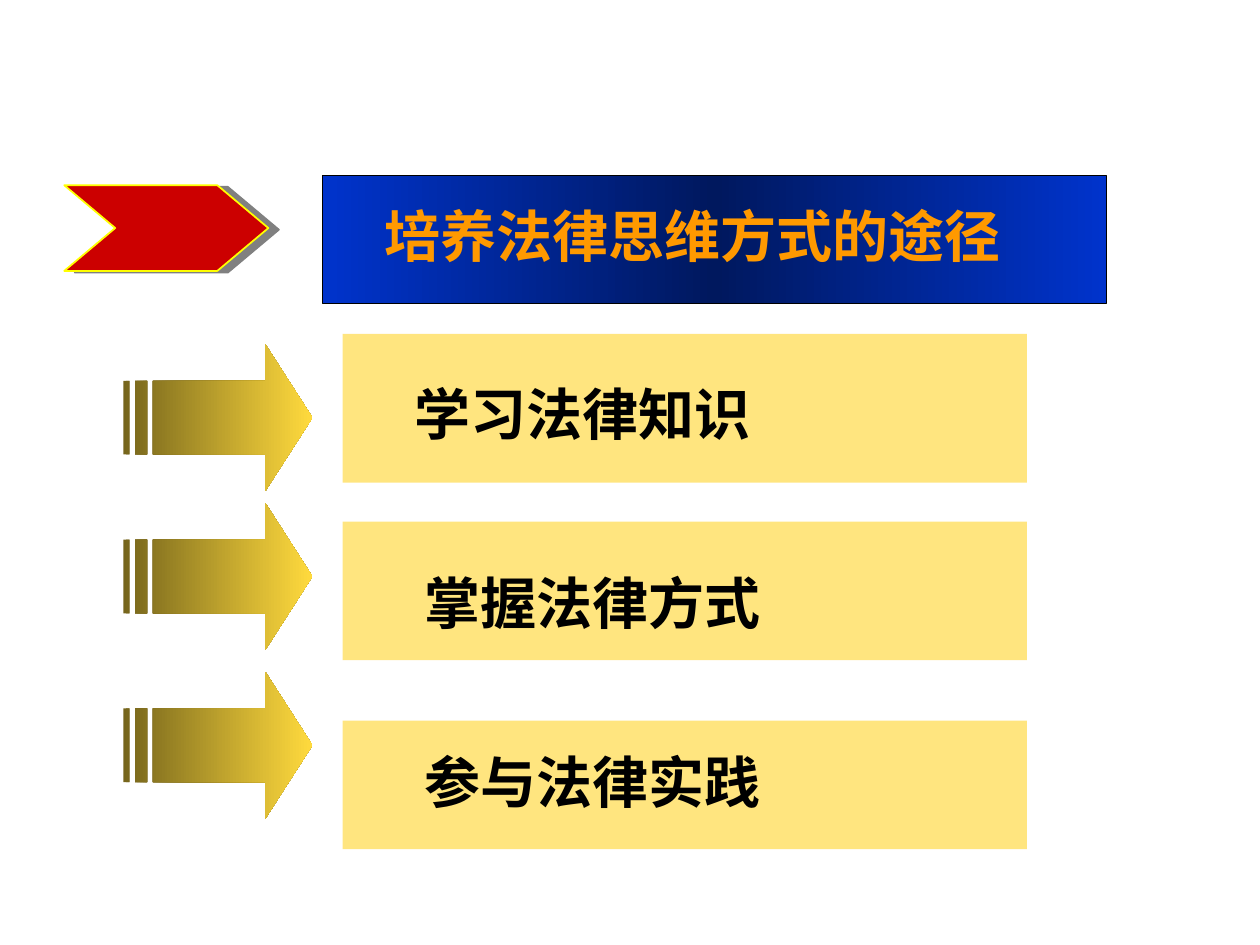
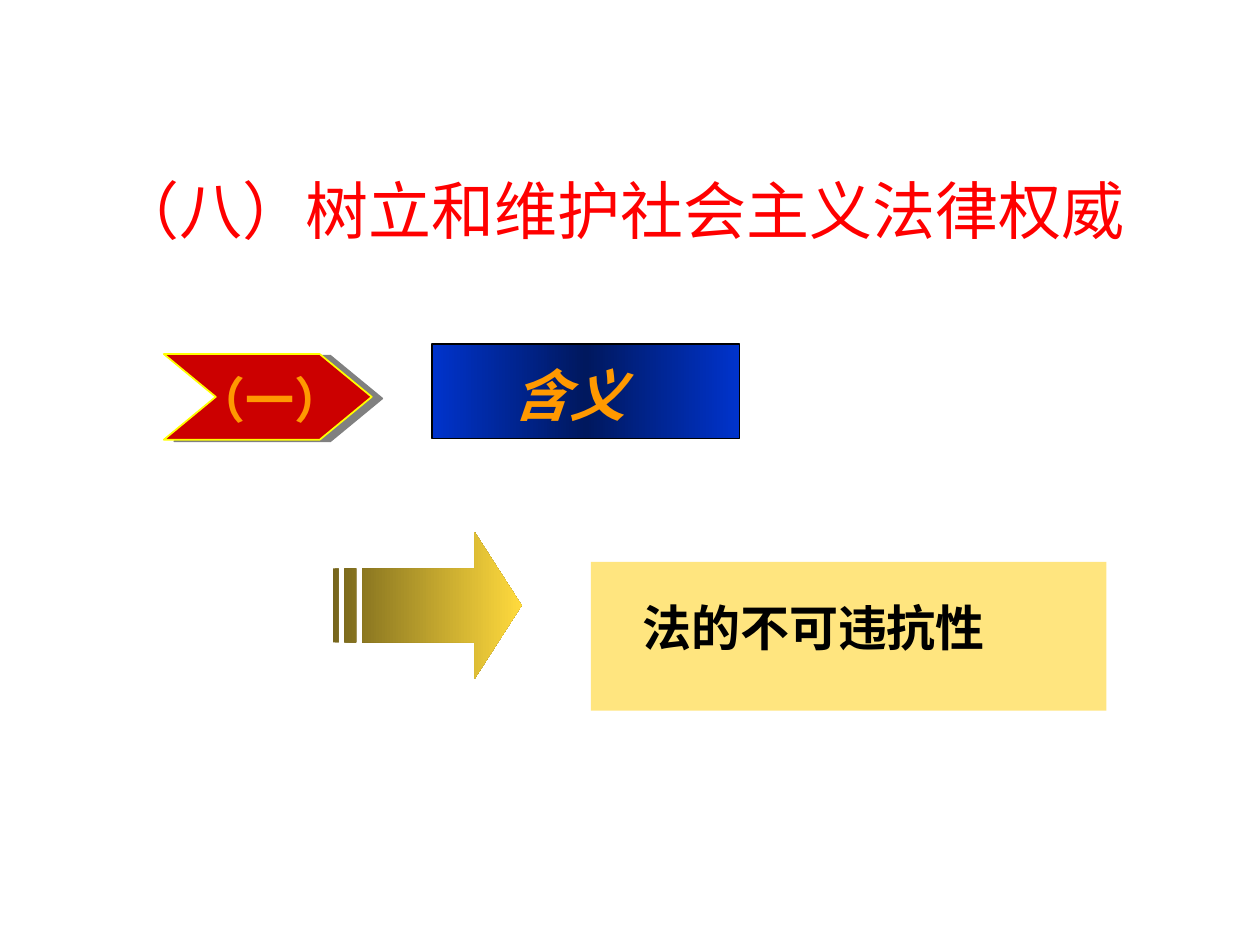
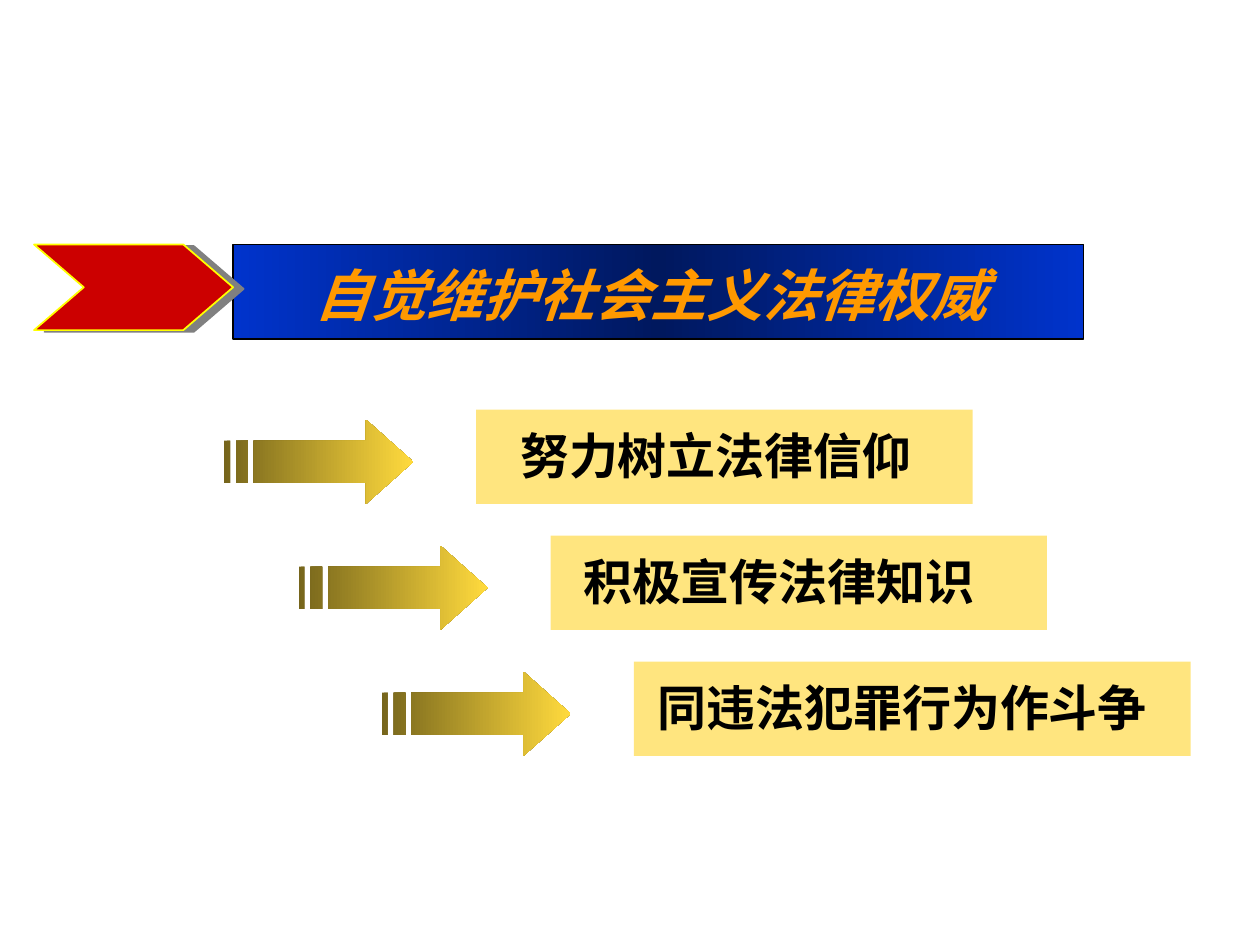
from lxml import etree
from pptx import Presentation
from pptx.dml.color import RGBColor
from pptx.enum import lang, shapes, text
from pptx.oxml.ns import qn
from pptx.util import Inches, Pt

# Shared colours, fonts and sizes
BLUE = RGBColor(0x00, 0x33, 0xCC)
NAVY = RGBColor(0x00, 0x18, 0x5E)
ORANGE = RGBColor(0xFF, 0x99, 0x00)
BLACK = RGBColor(0x00, 0x00, 0x00)
RED = RGBColor(0xFF, 0x00, 0x00)
CRIMSON = RGBColor(0xCC, 0x00, 0x00)
YELLOW = RGBColor(0xFF, 0xFF, 0x00)
GRAY = RGBColor(0x80, 0x80, 0x80)
AMBER = RGBColor(0xFF, 0xCC, 0x00)
BRONZE = RGBColor(0x76, 0x65, 0x1C)
GOLD = RGBColor(0xFF, 0xDA, 0x3D)

SERIF = "Times New Roman"
SANS = "Noto Sans CJK SC"
ARROW_W = 1.5
RIBBON_H = 0.68
TITLE_ONLY, BLANK = 5, 6


def fill_gradient(sp, colors):
    """Fill from left to right with evenly spaced colours."""
    sp.fill.gradient()
    sp.fill.gradient_angle = 0
    stops = sp._element.spPr.find(qn("a:gradFill")).find(qn("a:gsLst"))
    for stop in list(stops):
        stops.remove(stop)
    for i, color in enumerate(colors):
        pos = 100000 * i // (len(colors) - 1)
        stop = etree.SubElement(stops, qn("a:gs"), pos=str(pos))
        etree.SubElement(stop, qn("a:srgbClr"), val=str(color))


def add_preset(slide, kind, x, y, w, h):
    sp = slide.shapes.add_shape(kind, Inches(x), Inches(y), Inches(w), Inches(h))
    sp.shadow.inherit = False
    return sp


def style_text(p, size, color, font=SERIF, bold=True, italic=False):
    f = p.font
    f.name, f.size, f.bold, f.italic = font, Pt(size), bold, italic
    f.color.rgb = color
    f.language_id = lang.MSO_LANGUAGE_ID.SIMPLIFIED_CHINESE


def add_label(slide, words, x, y, w, size, color=BLACK, font=SERIF, italic=False):
    h = 0.64 if size == 32 else 0.57
    tf = slide.shapes.add_textbox(Inches(x), Inches(y), Inches(w), Inches(h)).text_frame
    tf.word_wrap = True
    tf.auto_size = text.MSO_AUTO_SIZE.SHAPE_TO_FIT_TEXT
    p = tf.paragraphs[0]
    p.text = words
    style_text(p, size, color, font, italic=italic)


def add_banner(slide, x, y, w, h):
    """Blue heading band."""
    sp = add_preset(slide, shapes.MSO_SHAPE.RECTANGLE, x, y, w, h)
    fill_gradient(sp, [BLUE, NAVY, BLUE])
    sp.line.color.rgb = BLACK
    sp.line.width = Pt(0.75)


def add_card(slide, x, y, w, h):
    """Half-transparent amber panel behind a list item."""
    sp = add_preset(slide, shapes.MSO_SHAPE.RECTANGLE, x, y, w, h)
    sp.fill.solid()
    sp.fill.fore_color.rgb = AMBER
    clr = sp._element.spPr.find(qn("a:solidFill")).find(qn("a:srgbClr"))
    etree.SubElement(clr, qn("a:alpha"), val="50000")
    sp.line.fill.background()


def add_ribbon(slide, x, y, w):
    """Red notched marker whose point takes a quarter of its width."""
    sp = add_preset(slide, shapes.MSO_SHAPE.CHEVRON, x, y, w, RIBBON_H)
    sp.adjustments[0] = 0.25 * w / RIBBON_H
    sp.fill.solid()
    sp.fill.fore_color.rgb = CRIMSON
    sp.line.color.rgb = YELLOW
    sp.line.width = Pt(1)
    effects = sp._element.spPr.find(qn("a:effectLst"))
    shadow = etree.SubElement(effects, qn("a:outerShdw"), blurRad="0",
                              dist=str(Pt(6.1)), dir=str(9 * 60000),
                              algn="ctr", rotWithShape="0")
    etree.SubElement(shadow, qn("a:srgbClr"), val=str(GRAY))


def add_striped_arrow(slide, x, y, h):
    """Gold arrow with two stripes behind its tail."""
    def at(fx, fy):
        return Inches(x + fx * ARROW_W), Inches(y + fy * h)

    def bar(left, right):
        return [at(left, 0.25), at(left, 0.75), at(right, 0.75), at(right, 0.25)]

    tail, neck = 5 / 32, 0.75
    head = [at(neck, 0), at(neck, 0.25), at(tail, 0.25), at(tail, 0.75),
            at(neck, 0.75), at(neck, 1), at(1, 0.5)]
    builder = slide.shapes.build_freeform(*head[0])
    builder.add_line_segments(head[1:])
    for stripe in (bar(1 / 16, 1 / 8), bar(0, 1 / 32)):
        builder.move_to(*stripe[0])
        builder.add_line_segments(stripe[1:])
    sp = builder.convert_to_shape()
    sp.shadow.inherit = False
    fill_gradient(sp, [BRONZE, GOLD])
    sp.line.fill.background()


def set_title(slide, words):
    title = slide.shapes.title
    title.left, title.top = Inches(0.67), Inches(1.23)
    title.width, title.height = Inches(8.51), Inches(0.87)
    tf = title.text_frame
    tf.vertical_anchor = text.MSO_ANCHOR.MIDDLE
    p = tf.paragraphs[0]
    p.text = words
    p.alignment = text.PP_ALIGN.CENTER
    style_text(p, 36, RED, "Arial", bold=False)


def build_ways(slide):
    add_banner(slide, 2.56, 1.39, 6.22, 1.02)
    add_label(slide, "培养法律思维方式的途径", 2.95, 1.55, 5.51, 32, ORANGE)
    add_ribbon(slide, 0.51, 1.47, 1.62)
    # words, card top, card height, label left, label top, arrow top
    ways = [("学习法律知识", 2.65, 1.18, 3.19, 2.96, 2.73),
            ("掌握法律方式", 4.14, 1.1, 3.27, 4.46, 3.99),
            ("参与法律实践", 5.72, 1.02, 3.27, 5.88, 5.33)]
    for words, card_y, card_h, label_x, label_y, arrow_y in ways:
        add_card(slide, 2.72, card_y, 5.43, card_h)
        add_label(slide, words, label_x, label_y, 5.35, 32, font=SANS)
        add_striped_arrow(slide, 0.98, arrow_y, 1.17)


def build_meaning(slide):
    set_title(slide, "（八）树立和维护社会主义法律权威")
    add_banner(slide, 3.43, 2.73, 2.44, 0.75)
    add_label(slide, "含义", 3.98, 2.81, 1.18, 32, ORANGE, italic=True)
    add_ribbon(slide, 1.3, 2.81, 1.65)
    add_label(slide, "（一）", 1.46, 2.88, 1.5, 28, ORANGE)
    add_card(slide, 4.69, 4.46, 4.09, 1.18)
    add_label(slide, "法的不可违抗性", 5, 4.69, 3.53, 28)
    add_striped_arrow(slide, 2.64, 4.22, 1.17)


def build_duties(slide):
    add_banner(slide, 1.85, 1.94, 6.75, 0.75)
    add_label(slide, "自觉维护社会主义法律权威", 2.4, 2.02, 5.67, 32, ORANGE, italic=True)
    add_ribbon(slide, 0.27, 1.94, 1.58)
    # words, card left, card width, label left, label width
    duties = [("努力树立法律信仰", 3.78, 3.94, 4.03, 3.53),
              ("积极宣传法律知识", 4.37, 3.94, 4.53, 3.53),
              ("同违法犯罪行为作斗争", 5.03, 4.42, 5.12, 4.58)]
    for i, (words, card_x, card_w, label_x, label_w) in enumerate(duties):
        y = 3.25 + i
        add_striped_arrow(slide, card_x - 2, y + 0.08, 0.67)
        add_card(slide, card_x, y, card_w, 0.75)
        add_label(slide, words, label_x, y + 0.08, label_w, 28)


def main():
    prs = Presentation()
    prs.slide_width, prs.slide_height = Inches(10), Inches(7.5)
    for layout, build in ((BLANK, build_ways), (TITLE_ONLY, build_meaning),
                          (BLANK, build_duties)):
        build(prs.slides.add_slide(prs.slide_layouts[layout]))
    prs.save("out.pptx")


if __name__ == "__main__":
    main()
